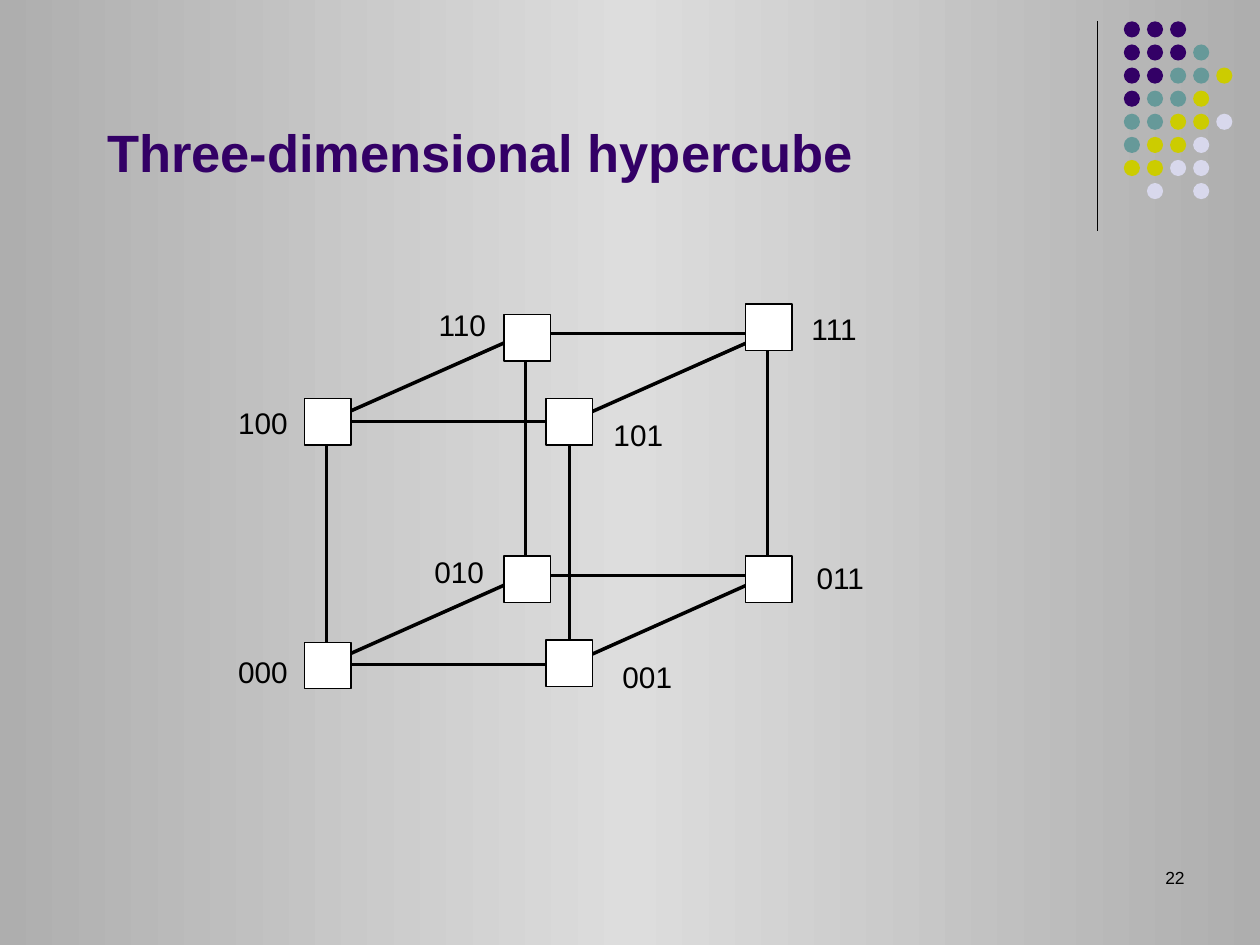
from copy import deepcopy
from dataclasses import dataclass
from itertools import combinations

from lxml.etree import SubElement
from pptx import Presentation
from pptx.dml.color import RGBColor
from pptx.enum.shapes import MSO_CONNECTOR, MSO_SHAPE
from pptx.enum.text import MSO_ANCHOR, MSO_AUTO_SIZE, PP_ALIGN
from pptx.oxml.ns import qn
from pptx.slide import Slide
from pptx.text.text import TextFrame
from pptx.util import Pt

COLORS = {
    "edge": "AEAEAE",
    "middle": "DDDDDD",
    "ink": "000000",
    "node": "FFFFFF",
    "P": "330066",
    "T": "669999",
    "Y": "CCCC00",
    "L": "D8D8EC",
}
DOT_ROWS = ["PPP", "PPPT", "PPTTY", "PTTY", "TTYYL", "TYYL", "YYLL", " L L"]
DOT_LEFT, DOT_TOP, DOT_PITCH, DOT_SIZE = 642.2, 12.2, 13.2, 9.2
NODE_SIZE = 26.6
TITLE_FORMAT = {"name": "Arial", "size": Pt(30), "bold": True}
LABEL_FORMAT = {"name": "Arial", "size": Pt(17)}
NUMBER_FORMAT = {"name": "Arial", "size": Pt(10)}
NO_MARGINS = {"margin_left": 0, "margin_top": 0, "margin_right": 0, "margin_bottom": 0}


@dataclass
class Node:
    code: str
    corner: tuple[float, float]
    box: tuple[float, float]
    label: tuple[float, float]


NODES = [
    Node("000", (186.6, 379.6), (174.1, 367), (136.1, 373.7)),
    Node("001", (325.4, 379.6), (312, 365.8), (355.7, 376.6)),
    Node("010", (300.2, 329), (288, 317.7), (248.2, 316.6)),
    Node("011", (438.7, 329), (426.1, 317.7), (466.6, 319.7)),
    Node("100", (186.6, 241), (174.1, 227.7), (136.1, 231.1)),
    Node("101", (325.4, 241), (312, 227.7), (350.6, 238.3)),
    Node("110", (300.2, 190.6), (288, 179.8), (250.6, 175)),
    Node("111", (438.7, 190.6), (426.1, 173.7), (463.7, 177.8)),
]


def color(name: str) -> RGBColor:
    return RGBColor.from_string(COLORS[name])


def apply_format(target: object, values: dict) -> None:
    for attribute, value in values.items():
        setattr(target, attribute, value)


def write_text(frame: TextFrame, text: str, values: dict, ink: str, align: PP_ALIGN) -> None:
    paragraph = frame.paragraphs[0]
    paragraph.alignment = align
    span = paragraph.add_run()
    span.text = text
    apply_format(span.font, values)
    span.font.color.rgb = color(ink)


def paint_background(page: Slide) -> None:
    fill = page.background.fill
    fill.gradient()
    fill.gradient_angle = 0
    stop_list = page.element.find(".//" + qn("a:gsLst"))
    stop_list.append(deepcopy(stop_list[0]))
    for stop, position, name in zip(fill.gradient_stops, (0, 0.5, 1), ("edge", "middle", "edge")):
        stop.position = position
        stop.color.rgb = color(name)


def draw_line(page: Slide, start: tuple, end: tuple, width: float) -> None:
    line = page.shapes.add_connector(MSO_CONNECTOR.STRAIGHT, *map(Pt, start + end))
    line.line.color.rgb = color("ink")
    line.line.width = Pt(width)
    SubElement(line.element.spPr, qn("a:effectLst"))


def draw_shape(page: Slide, kind: MSO_SHAPE, position: tuple, size: float, fill: str, outlined: bool) -> None:
    shape = page.shapes.add_shape(kind, *map(Pt, position + (size, size)))
    shape.shadow.inherit = False
    shape.fill.solid()
    shape.fill.fore_color.rgb = color(fill)
    if outlined:
        shape.line.color.rgb = color("ink")
        shape.line.width = Pt(0)
    else:
        shape.line.fill.background()


def draw_dots(page: Slide) -> None:
    for row, names in enumerate(DOT_ROWS):
        for column, name in enumerate(names):
            if name != " ":
                position = (DOT_LEFT + column * DOT_PITCH, DOT_TOP + row * DOT_PITCH)
                draw_shape(page, MSO_SHAPE.OVAL, position, DOT_SIZE, name, False)


def draw_title(page: Slide) -> None:
    title = page.shapes.title
    apply_format(title, {"left": Pt(54), "top": Pt(18), "width": Pt(612), "height": Pt(90)})
    frame = title.text_frame
    apply_format(frame, {"vertical_anchor": MSO_ANCHOR.BOTTOM, "auto_size": MSO_AUTO_SIZE.NONE})
    write_text(frame, "Three-dimensional hypercube", TITLE_FORMAT, "P", PP_ALIGN.LEFT)


def draw_page_number(page: Slide) -> None:
    box = page.shapes.add_textbox(Pt(516), Pt(492), Pt(168), Pt(36))
    box.text_frame.word_wrap = True
    write_text(box.text_frame, "22", NUMBER_FORMAT, "ink", PP_ALIGN.RIGHT)


def draw_label(page: Slide, node: Node) -> None:
    box = page.shapes.add_textbox(*map(Pt, node.label + (28.8, 20.2)))
    frame = box.text_frame
    apply_format(frame, NO_MARGINS)
    apply_format(frame, {"word_wrap": False, "auto_size": MSO_AUTO_SIZE.SHAPE_TO_FIT_TEXT})
    write_text(frame, node.code, LABEL_FORMAT, "ink", PP_ALIGN.LEFT)


def differ_by_one_bit(first: Node, second: Node) -> bool:
    return sum(a != b for a, b in zip(first.code, second.code)) == 1


def draw_hypercube(page: Slide) -> None:
    for first, second in combinations(NODES, 2):
        if differ_by_one_bit(first, second):
            draw_line(page, first.corner, second.corner, 0)
    for node in NODES:
        draw_shape(page, MSO_SHAPE.RECTANGLE, node.box, NODE_SIZE, "node", True)
        draw_label(page, node)


def main() -> None:
    deck = Presentation()
    deck.slide_width, deck.slide_height = Pt(720), Pt(540)
    page = deck.slides.add_slide(deck.slide_layouts[5])
    paint_background(page)
    draw_line(page, (627, 12), (627, 132), 0.75)
    draw_dots(page)
    draw_title(page)
    draw_page_number(page)
    draw_hypercube(page)
    deck.save("out.pptx")


if __name__ == "__main__":
    main()
